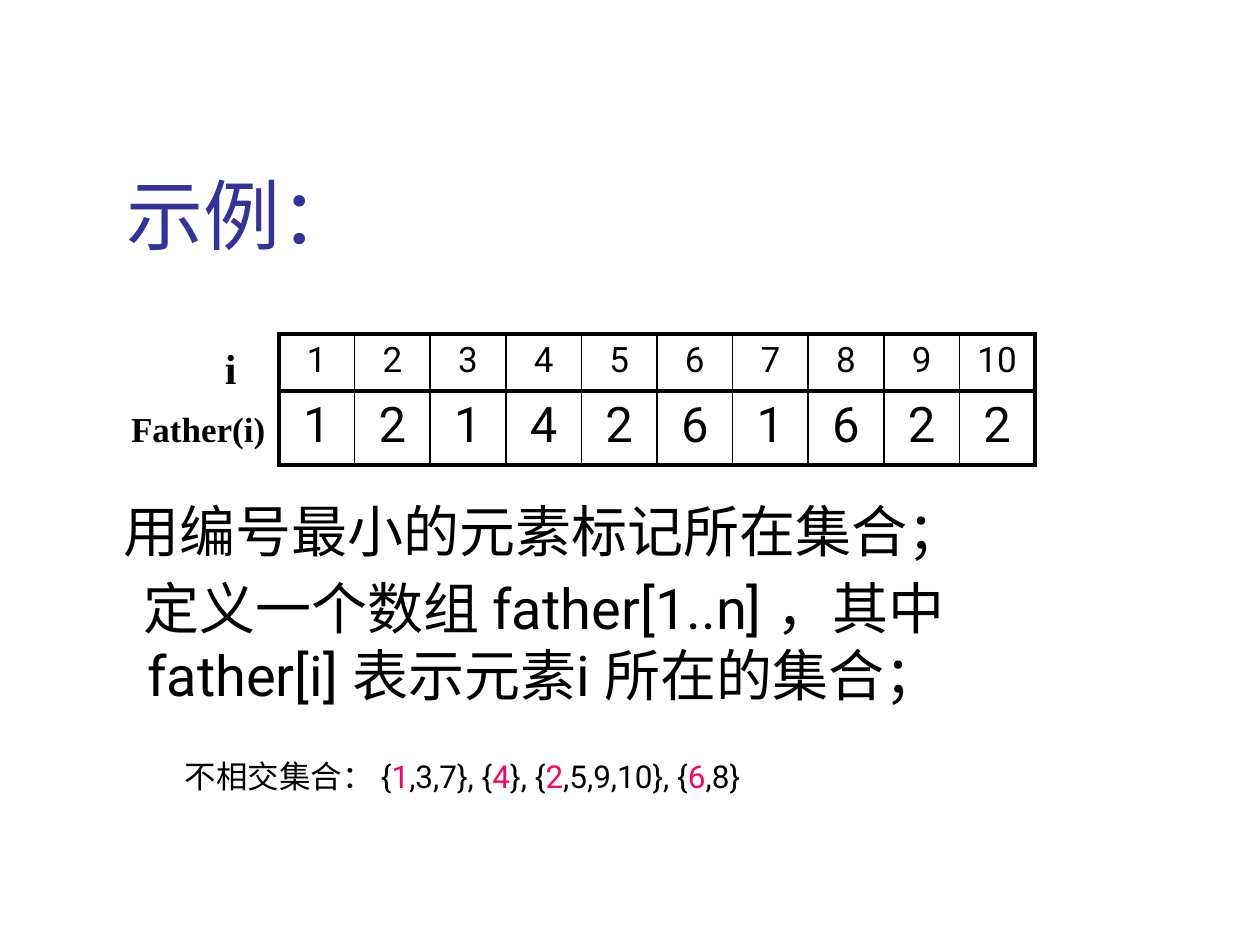
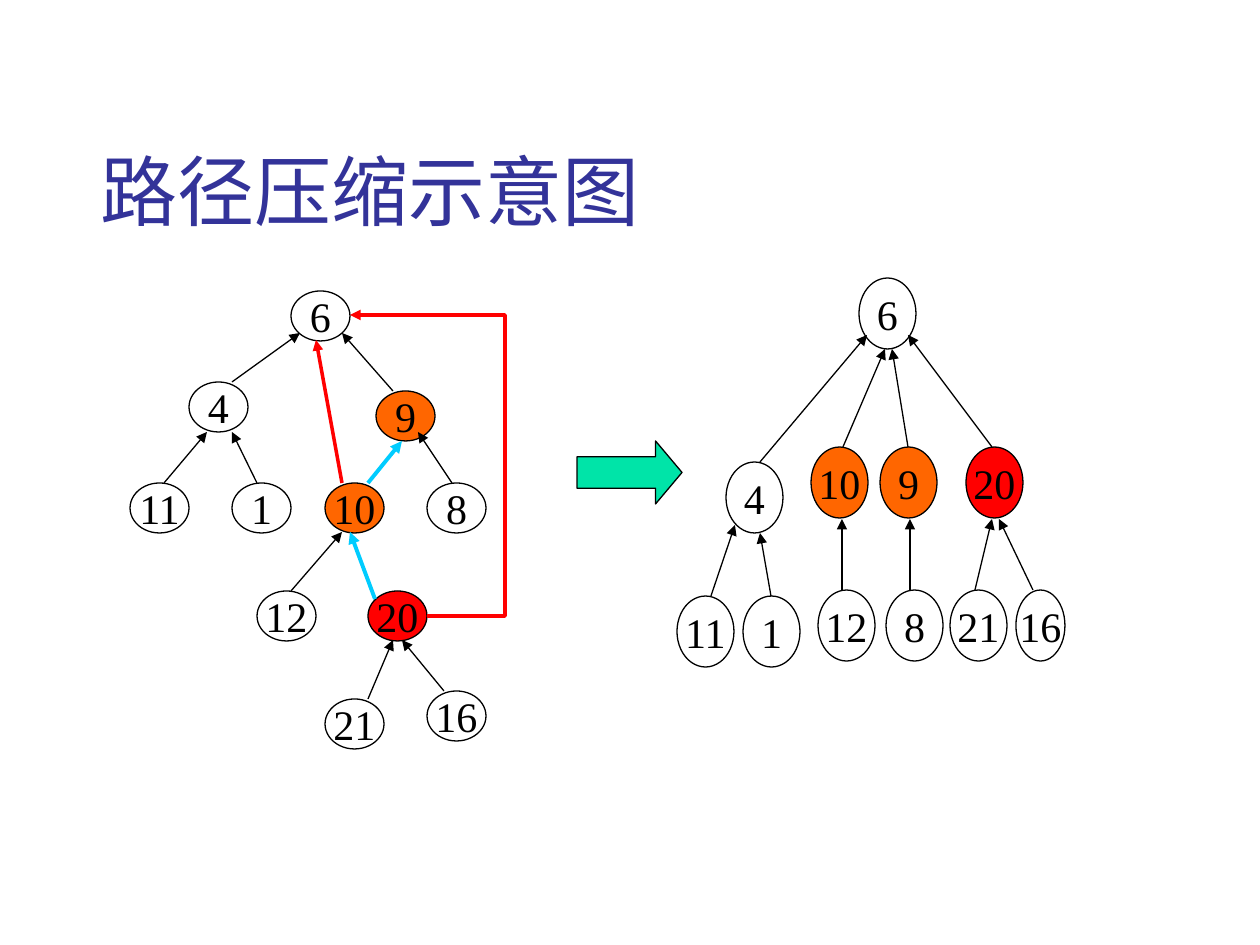
from lxml import etree
from pptx import Presentation
from pptx.dml.color import RGBColor
from pptx.enum.shapes import MSO_CONNECTOR, MSO_SHAPE
from pptx.enum.text import MSO_ANCHOR, MSO_AUTO_SIZE, PP_ALIGN
from pptx.oxml.ns import qn
from pptx.util import Emu, Pt

OVAL, RIGHT_ARROW = MSO_SHAPE.OVAL, MSO_SHAPE.RIGHT_ARROW
STRAIGHT = MSO_CONNECTOR.STRAIGHT
LEFT, CENTER = PP_ALIGN.LEFT, PP_ALIGN.CENTER
TOP, MIDDLE, BOTTOM = MSO_ANCHOR.TOP, MSO_ANCHOR.MIDDLE, MSO_ANCHOR.BOTTOM
NO_AUTOFIT = MSO_AUTO_SIZE.NONE

BLACK = RGBColor(0x00, 0x00, 0x00)
WHITE = RGBColor(0xFF, 0xFF, 0xFF)
NAVY = RGBColor(0x33, 0x33, 0x99)
PINK = RGBColor(0xFF, 0x00, 0x66)
ORANGE = RGBColor(0xFF, 0x66, 0x00)
RED = RGBColor(0xFF, 0x00, 0x00)
SKY = RGBColor(0x00, 0xCC, 0xFF)
GREEN = RGBColor(0x00, 0xE4, 0xA8)

CJK, SANS, SERIF = "Noto Sans CJK SC", "Roboto", "Times New Roman"
SCALE = 914400 / 126
INSET = 6
THIN, MEDIUM, THICK = 0.75, 2, 2.25

TITLE_STYLE = {"name": CJK, "size": Pt(44), "color": NAVY}
CJK_BODY = {"name": CJK, "size": Pt(32), "color": BLACK}
SANS_BODY = CJK_BODY | {"name": SANS}
CJK_NOTE = {"name": CJK, "size": Pt(18), "color": BLACK}
SANS_NOTE = CJK_NOTE | {"name": SANS}
ROOT_NOTE = SANS_NOTE | {"color": PINK}
NODE_STYLE = {"name": SERIF, "size": Pt(24), "color": BLACK}
INDEX_LABEL = NODE_STYLE | {"bold": True}
FATHER_LABEL = INDEX_LABEL | {"size": Pt(20)}
INDEX_CELL = {"name": SANS, "size": Pt(20), "color": BLACK}
FATHER_CELL = INDEX_CELL | {"size": Pt(28)}

FATHERS = [1, 2, 1, 4, 2, 6, 1, 6, 2, 2]
MARKED = {"9": ORANGE, "10": ORANGE, "20": RED}

DEEP_SIZE = (59, 50)
DEEP_NODES = {
    "6": (291, 291), "4": (189, 382), "9": (376, 391), "11": (130, 483),
    "1": (232, 483), "10": (325, 483), "8": (427, 483), "12": (257, 591),
    "20": (368, 591), "21": (325, 699), "16": (427, 691),
}
DEEP_EDGES = [
    (393, 391, 342, 333), (452, 483, 418, 432), (291, 591, 342, 532),
    (368, 699, 393, 640), (444, 691, 402, 640), (232, 382, 300, 333),
    (164, 483, 207, 432), (257, 483, 232, 432),
]
FIND_EDGES = [(368, 483, 402, 441), (375, 599, 350, 532)]
SHORTCUT_EDGE = (342, 483, 316, 340)
SHORTCUT_BEND = [(427, 616), (505, 616), (505, 315), (350, 315)]

FLAT_SIZE = (57, 71)
FLAT_NODES = {
    "6": (859, 278), "4": (726, 462), "10": (811, 447), "9": (880, 447),
    "20": (966, 447), "11": (677, 596), "1": (743, 596), "12": (818, 590),
    "8": (886, 590), "21": (950, 590),
}
FLAT_NARROW_NODE = {"16": (1016, 590)}
NARROW_SIZE = (49, 71)
FLAT_EDGES = [
    (760, 462, 867, 335), (843, 447, 885, 349), (908, 447, 892, 349),
    (992, 447, 908, 335), (711, 596, 735, 525), (771, 596, 760, 533),
    (842, 590, 842, 519), (910, 590, 910, 519), (975, 590, 992, 519),
    (1033, 590, 999, 519),
]


def px(length):
    """Turn pixels into EMU."""
    return Emu(round(length * SCALE))


def box(*lengths):
    """Turn several pixel lengths into EMU."""
    return [px(length) for length in lengths]


def add_run(paragraph, text, style):
    """Add a run whose font follows the style."""
    run = paragraph.add_run()
    run.text = text
    for name, value in style.items():
        if name == "color":
            run.font.color.rgb = value
        else:
            setattr(run.font, name, value)
    east_asian = etree.SubElement(run._r.get_or_add_rPr(), qn("a:ea"))
    east_asian.set("typeface", style["name"])


def set_frame(frame, anchor=TOP, wrap=True, inset=INSET):
    """Set the margins, anchor and wrapping of a text frame."""
    values = {"auto_size": NO_AUTOFIT, "word_wrap": wrap, "vertical_anchor": anchor}
    for side in ("left", "top", "right", "bottom"):
        values[f"margin_{side}"] = px(inset)
    for name, value in values.items():
        setattr(frame, name, value)


def place(shape, left, top, width, height):
    """Move and size a shape."""
    for name, value in zip(("left", "top", "width", "height"), (left, top, width, height)):
        setattr(shape, name, px(value))


def fill_title(slide, text, left, top):
    """Fill the title placeholder in the shared title style."""
    title = slide.shapes.title
    place(title, left, top, 1071, 202)
    set_frame(title.text_frame, BOTTOM)
    paragraph = title.text_frame.paragraphs[0]
    paragraph.alignment = LEFT
    add_run(paragraph, text, TITLE_STYLE)


def fill_body(slide, bounds, paragraphs):
    """Fill the body placeholder with centred, unbulleted paragraphs."""
    body = slide.placeholders[1]
    place(body, *bounds)
    frame = body.text_frame
    set_frame(frame)
    for index, runs in enumerate(paragraphs):
        paragraph = frame.add_paragraph() if index else frame.paragraphs[0]
        paragraph.alignment = CENTER
        paragraph.space_before = Pt(6)
        properties = paragraph._p.get_or_add_pPr()
        properties.set("marL", "0")
        properties.set("indent", "0")
        etree.SubElement(properties, qn("a:buNone"))
        for text, style in runs:
            add_run(paragraph, text, style)


def add_text(slide, bounds, runs, wrap=True):
    """Add a text box with one line of runs."""
    frame = slide.shapes.add_textbox(*box(*bounds)).text_frame
    set_frame(frame, wrap=wrap)
    for text, style in runs:
        add_run(frame.paragraphs[0], text, style)


def set_border(cell, side, width):
    """Draw one black border of a cell."""
    line = etree.SubElement(cell._tc.get_or_add_tcPr(), qn(f"a:ln{side}"), w=str(Pt(width)))
    fill = etree.SubElement(line, qn("a:solidFill"))
    etree.SubElement(fill, qn("a:srgbClr"), val=str(BLACK))


def add_father_table(slide):
    """Add the table of each element and its father."""
    count = len(FATHERS)
    table = slide.shapes.add_table(2, count, *box(279, 334, 756, 131)).table
    table.first_row = table.horz_banding = False
    rows = [(range(1, count + 1), INDEX_CELL, 57), (FATHERS, FATHER_CELL, 74)]
    for row, (values, style, height) in enumerate(rows):
        table.rows[row].height = px(height)
        for column, value in enumerate(values):
            cell = table.cell(row, column)
            for side in ("left", "top", "right", "bottom"):
                setattr(cell, f"margin_{side}", px(INSET))
            widths = {
                "L": 1 if column else THICK,
                "R": 1 if column < count - 1 else THICK,
                "T": THICK,
                "B": THICK,
            }
            for side, width in widths.items():
                set_border(cell, side, width)
            cell.fill.background()
            paragraph = cell.text_frame.paragraphs[0]
            paragraph.alignment = CENTER
            add_run(paragraph, str(value), style)


def paint(shape, fill, line=BLACK, width=THIN):
    """Set the fill and outline of a shape and drop its shadow."""
    shape.shadow.inherit = False
    if fill is None:
        shape.fill.background()
    else:
        shape.fill.solid()
        shape.fill.fore_color.rgb = fill
    shape.line.color.rgb = line
    shape.line.width = Pt(width)


def add_arrowhead(shape):
    """Put a triangle at the end of a line."""
    etree.SubElement(shape.line._get_or_add_ln(), qn("a:tailEnd"), type="triangle")


def add_nodes(slide, nodes, size):
    """Add the labelled ovals of a tree."""
    for label, position in nodes.items():
        node = slide.shapes.add_shape(OVAL, *box(*position, *size))
        paint(node, MARKED.get(label, WHITE))
        set_frame(node.text_frame, MIDDLE, wrap=False, inset=0)
        paragraph = node.text_frame.paragraphs[0]
        paragraph.alignment = CENTER
        add_run(paragraph, label, NODE_STYLE)


def add_edges(slide, edges, color=BLACK, width=THIN):
    """Add arrows from children to parents."""
    for ends in edges:
        edge = slide.shapes.add_connector(STRAIGHT, *box(*ends))
        edge.line.color.rgb = color
        edge.line.width = Pt(width)
        add_arrowhead(edge)
        etree.SubElement(edge._element.spPr, qn("a:effectLst"))


def add_bent_arrow(slide, points):
    """Add a red open outline that ends in an arrowhead."""
    start, *others = points
    builder = slide.shapes.build_freeform(*start, scale=SCALE)
    builder.add_line_segments(others, close=False)
    arrow = builder.convert_to_shape()
    paint(arrow, None, RED, MEDIUM)
    add_arrowhead(arrow)


def build_example(presentation):
    """Build the slide with the father array."""
    slide = presentation.slides.add_slide(presentation.slide_layouts[1])
    fill_title(slide, "示例：", 121, 64)
    fill_body(slide, (103, 490, 882, 242), [
        [("用编号最小的元素标记所在集合；", CJK_BODY)],
        [("定义一个数组 ", CJK_BODY), ("father[1..n] ", SANS_BODY),
         ("，其中", CJK_BODY), ("father[i] ", SANS_BODY),
         ("表示元素", CJK_BODY), ("i ", SANS_BODY), ("所在的集合；", CJK_BODY)],
    ])
    add_father_table(slide)
    add_text(slide, (219, 336, 26, 58), [("i", INDEX_LABEL)], wrap=False)
    add_text(slide, (125, 402, 155, 52), [("Father(i)", FATHER_LABEL)])
    add_text(slide, (179, 751, 955, 83), [
        ("不相交集合： ", CJK_NOTE), ("{", SANS_NOTE),
        ("1", ROOT_NOTE), (",3,7}, {", SANS_NOTE),
        ("4", ROOT_NOTE), ("}, {", SANS_NOTE),
        ("2", ROOT_NOTE), (",5,9,10}, {", SANS_NOTE),
        ("6", ROOT_NOTE), (",8}", SANS_NOTE),
    ])


def build_compression(presentation):
    """Build the slide with the tree before and after path compression."""
    slide = presentation.slides.add_slide(presentation.slide_layouts[5])
    fill_title(slide, "路径压缩示意图", 95, 40)
    add_nodes(slide, DEEP_NODES, DEEP_SIZE)
    add_edges(slide, DEEP_EDGES)
    add_edges(slide, FIND_EDGES, SKY, THICK)
    add_edges(slide, [SHORTCUT_EDGE], RED, MEDIUM)
    add_bent_arrow(slide, SHORTCUT_BEND)
    add_nodes(slide, FLAT_NODES, FLAT_SIZE)
    add_nodes(slide, FLAT_NARROW_NODE, NARROW_SIZE)
    add_edges(slide, FLAT_EDGES)
    arrow = slide.shapes.add_shape(RIGHT_ARROW, *box(577, 441, 105, 63))
    arrow.adjustments[1] = 0.42
    paint(arrow, GREEN)


def main():
    """Build and save the presentation."""
    presentation = Presentation()
    presentation.slide_width, presentation.slide_height = box(1260, 945)
    build_example(presentation)
    build_compression(presentation)
    presentation.save("out.pptx")


if __name__ == "__main__":
    main()
